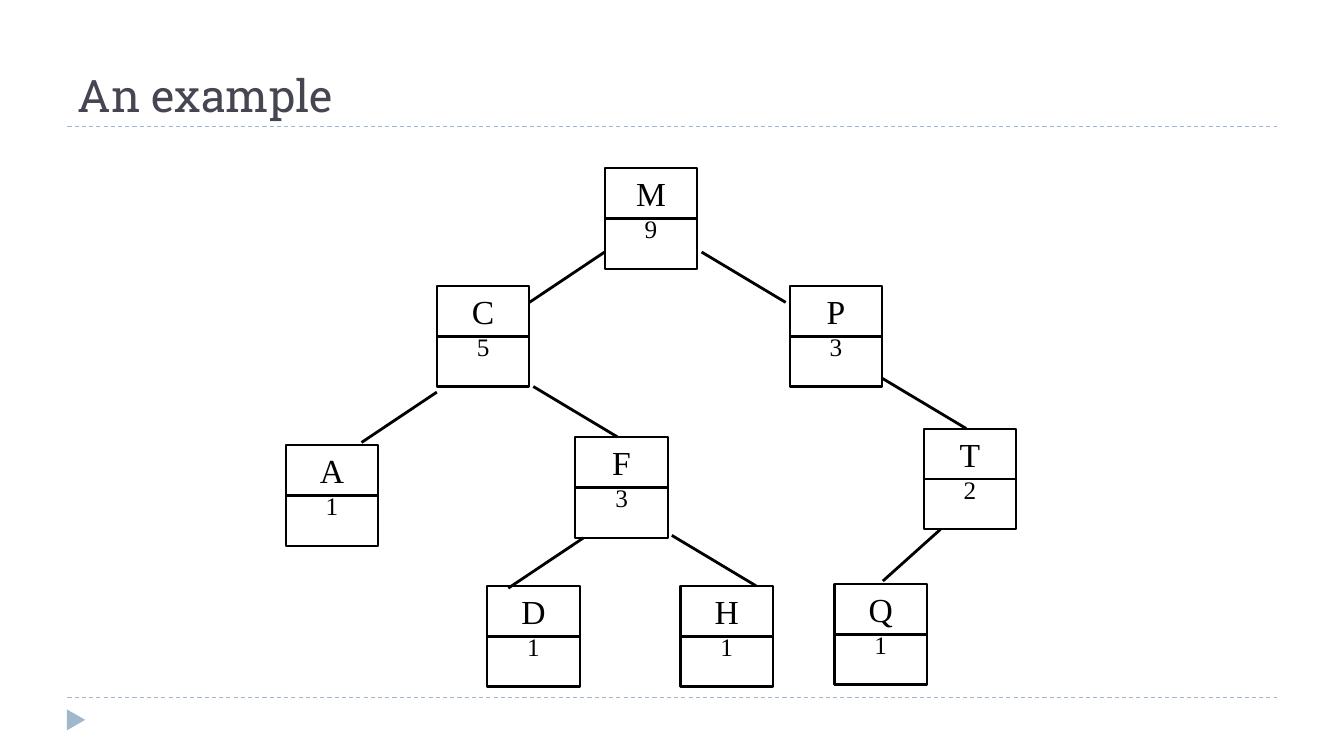
from lxml import etree
from pptx import Presentation
from pptx import util as u
from pptx.dml import color
from pptx.enum import dml, shapes, text
from pptx.oxml import ns

COLORS = {"ink": "000000", "paper": "FFFFFF", "title": "464653", "accent": "9FB8CD"}
SLIDE_WIDTH, SLIDE_HEIGHT, MARGIN = 33.87, 19.05, 1.7
NODE_WIDTH, NODE_HEIGHT = 2.33, 2.54

# Key: (subtree size, left, top)
NODES = {
    "M": (9, 15.24, 4.23),
    "C": (5, 11.01, 7.2),
    "A": (1, 7.2, 11.22),
    "F": (3, 14.5, 11.01),
    "D": (1, 12.28, 14.76),
    "H": (1, 17.15, 14.76),
    "P": (3, 19.9, 7.2),
    "T": (2, 23.28, 10.8),
    "Q": (1, 21.03, 14.71),
}
LEFT_REACH, RIGHT_REACH = (-1.9, 1.27), (2.12, 1.27)
# Parent, side, start offset from that lower corner, reach
EDGES = [
    ("M", "left", (0, -0.42), LEFT_REACH),
    ("C", "left", (0, 0.14), LEFT_REACH),
    ("F", "left", (0.21, 0), LEFT_REACH),
    ("M", "right", (0.11, -0.42), RIGHT_REACH),
    ("P", "right", (0, -0.21), RIGHT_REACH),
    ("T", "left", (0.42, 0), (-1.45, 1.3)),
    ("F", "right", (0.1, -0.06), RIGHT_REACH),
    ("C", "right", (0.1, 0), RIGHT_REACH),
]


def rgb(name):
    return color.RGBColor.from_string(COLORS[name])


def format_text(paragraph, font_name, size, color_name, alignment):
    paragraph.alignment = alignment
    for run in paragraph.runs:
        run.font.name = font_name
        run.font.size = u.Pt(size)
        run.font.color.rgb = rgb(color_name)


def add_line(container, start, end, color_name="ink", width=2, dashed=False):
    line = container.shapes.add_connector(
        shapes.MSO_CONNECTOR.STRAIGHT, *(u.Cm(value) for value in (*start, *end)))
    line.line.color.rgb = rgb(color_name)
    line.line.width = u.Pt(width)
    if dashed:
        line.line.dash_style = dml.MSO_LINE.DASH
    etree.SubElement(line.element.spPr, ns.qn("a:effectLst"))


def add_frame(slide, left, top, width, height):
    """Two dashed rules and the corner marker."""
    for y in (top, top + height):
        add_line(slide, (left, y), (left + width, y), "accent", 0.75, dashed=True)
    marker = slide.shapes.add_shape(
        shapes.MSO_SHAPE.ISOSCELES_TRIANGLE,
        u.Cm(left - 0.05), u.Cm(top + height + 0.33), u.Cm(0.53), u.Cm(0.46))
    marker.rotation = 90
    marker.shadow.inherit = False
    marker.fill.solid()
    marker.fill.fore_color.rgb = rgb("accent")
    marker.line.fill.background()


def set_title(slide, wording, left, top, width, height):
    title = slide.shapes.title
    title.left, title.top = u.Cm(left), u.Cm(top)
    title.width, title.height = u.Cm(width), u.Cm(height)
    frame = title.text_frame
    frame.text = wording
    frame.auto_size = text.MSO_AUTO_SIZE.NONE
    frame.vertical_anchor = text.MSO_ANCHOR.BOTTOM
    format_text(frame.paragraphs[0], "Roboto Slab", 32, "title", text.PP_ALIGN.LEFT)


def add_node(slide, key, count, left, top, width, height):
    """A box with the key above its divider and the subtree size below."""
    group = slide.shapes.add_group_shape()
    box = group.shapes.add_shape(
        shapes.MSO_SHAPE.RECTANGLE, u.Cm(left), u.Cm(top), u.Cm(width), u.Cm(height))
    box.shadow.inherit = False
    box.fill.solid()
    box.fill.fore_color.rgb = rgb("paper")
    box.line.color.rgb = rgb("ink")
    box.line.width = u.Pt(1.5)
    frame = box.text_frame
    frame.vertical_anchor = text.MSO_ANCHOR.TOP
    frame.text = f"{key}\n{count}"
    for paragraph, size in zip(frame.paragraphs, (24, 18)):
        format_text(paragraph, "Times New Roman", size, "ink", text.PP_ALIGN.CENTER)
    middle = top + height / 2
    add_line(group, (left, middle), (left + width, middle))


def add_tree(slide):
    for key, (count, left, top) in NODES.items():
        add_node(slide, key, count, left, top, NODE_WIDTH, NODE_HEIGHT)
    for parent, side, offset, reach in EDGES:
        _, left, top = NODES[parent]
        corner = left + (NODE_WIDTH if side == "right" else 0)
        start = (corner + offset[0], top + NODE_HEIGHT + offset[1])
        add_line(slide, start, (start[0] + reach[0], start[1] + reach[1]))


def main():
    presentation = Presentation()
    presentation.slide_width = u.Cm(SLIDE_WIDTH)
    presentation.slide_height = u.Cm(SLIDE_HEIGHT)
    slide = presentation.slides.add_slide(presentation.slide_layouts[5])
    content_width = SLIDE_WIDTH - 2 * MARGIN
    add_frame(slide, MARGIN, 3.18, content_width, 14.4)
    set_title(slide, "An example", MARGIN, 0.43, content_width, 2.75)
    add_tree(slide)
    presentation.save("out.pptx")


if __name__ == "__main__":
    main()
